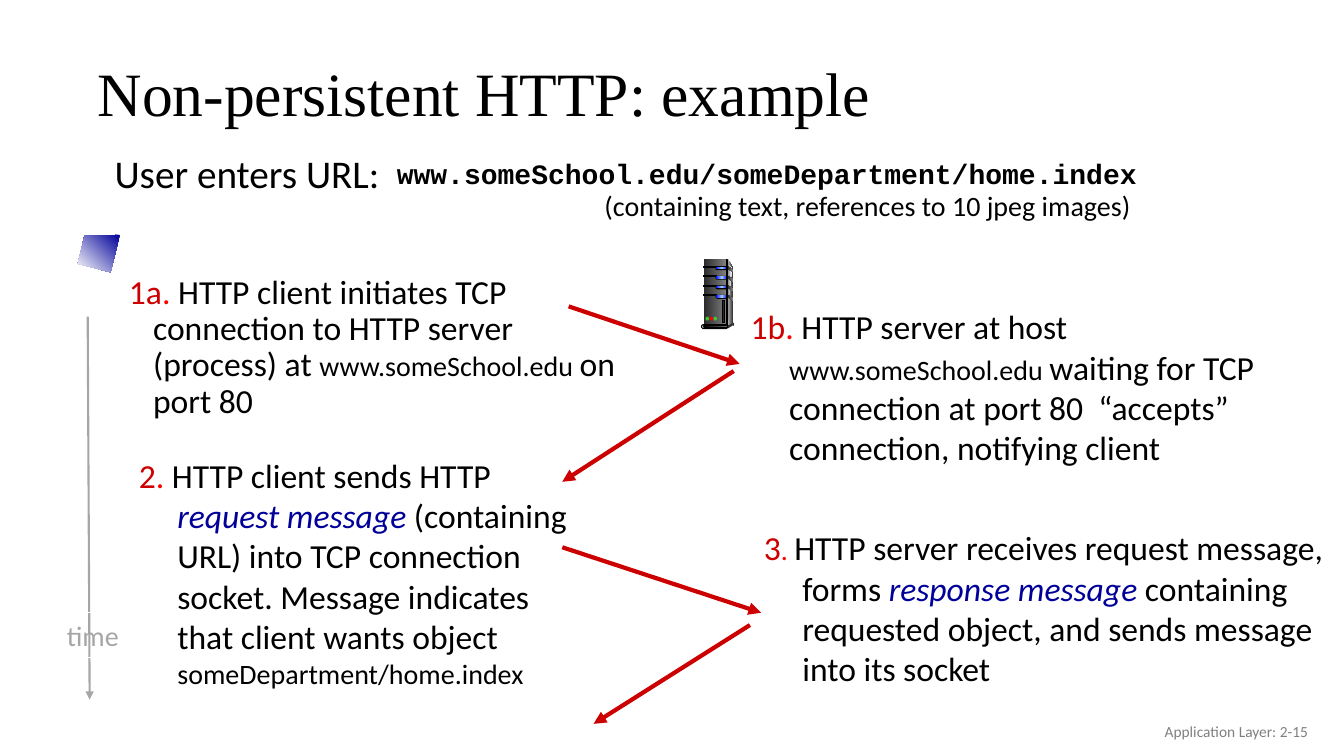
from copy import deepcopy

from lxml import etree
from pptx import Presentation
from pptx import util as u
from pptx.dml import color
from pptx.enum import shapes, text
from pptx.oxml import ns

COLORS = {
    "ink": "000000", "white": "FFFFFF", "number": "CC0000", "dot": "FF0000",
    "message": "000099", "time": "A6A6A6", "footer": "808080",
    "dark": "292929", "edge": "333333", "steel": "808080", "shine": "F8F8F8",
    "silver": "DDDDDD", "led": "0000FF", "glow": "99CCFF", "go": "33CC33",
}
KINDS = shapes.MSO_SHAPE
ALIGN = text.PP_ALIGN


def rgb(name):
    return color.RGBColor.from_string(COLORS[name])


def cm(values):
    return [u.Cm(value) for value in values]


def write(frame, runs, size, ink="ink", font="Calibri", align=None,
          indent=None, spacing=None, bold=None):
    paragraph = frame.paragraphs[0]
    if indent:
        margin, hanging = indent
        properties = paragraph._p.get_or_add_pPr()
        properties.set("marL", str(u.Cm(margin)))
        properties.set("indent", str(u.Cm(hanging)))
    if spacing:
        paragraph.line_spacing = spacing
    paragraph.alignment = align
    paragraph.font.name = font
    paragraph.font.size = u.Pt(size)
    paragraph.font.bold = bold
    paragraph.font.color.rgb = rgb(ink)
    for words, changes in runs:
        run = paragraph.add_run()
        run.text = words
        if "size" in changes:
            run.font.size = u.Pt(changes["size"])
        if "ink" in changes:
            run.font.color.rgb = rgb(changes["ink"])
        if "italic" in changes:
            run.font.italic = changes["italic"]


def add_text(slide, place, runs, size, middle=False, **style):
    frame = slide.shapes.add_textbox(*cm(place)).text_frame
    frame.word_wrap = True
    if middle:
        frame.vertical_anchor = text.MSO_ANCHOR.MIDDLE
    write(frame, runs, size, **style)


def add_step(slide, place, number, runs, dot=". ", dot_style=None,
             indent=(0.97, -0.97), spacing=None):
    heading = [(number, {"ink": "number"}),
               (dot, {"ink": "dot", **(dot_style or {})})]
    add_text(slide, place, heading + runs, 24, indent=indent, spacing=spacing)


def add_arrow(slide, start, end, ink="number", width=3):
    arrow = slide.shapes.add_connector(
        shapes.MSO_CONNECTOR.STRAIGHT, *cm(start + end))
    arrow.line.color.rgb = rgb(ink)
    arrow.line.width = u.Pt(width)
    properties = arrow._element.spPr
    etree.SubElement(properties.find(ns.qn("a:ln")), ns.qn("a:tailEnd"),
                     type="triangle")
    etree.SubElement(properties, ns.qn("a:effectLst"))


def paint(shape, fills, outline=None, angle=0):
    shape.shadow.inherit = False
    if len(fills) == 1:
        shape.fill.solid()
        shape.fill.fore_color.rgb = rgb(fills[0])
    elif fills:
        shape.fill.gradient()
        shape.fill.gradient_angle = angle
        stops = shape._element.spPr.find(".//" + ns.qn("a:gsLst"))
        for _ in fills[2:]:
            stops.append(deepcopy(stops[-1]))
        for index, stop in enumerate(shape.fill.gradient_stops):
            stop.position = index / (len(fills) - 1)
            stop.color.rgb = rgb(fills[index])
    else:
        shape.fill.background()
    if outline:
        shape.line.color.rgb = rgb(outline)
        shape.line.width = u.Pt(0.75)
    else:
        shape.line.fill.background()


def add_part(parent, kind, place, fills, outline=None):
    part = parent.shapes.add_shape(kind, *cm(place))
    if kind == KINDS.ROUNDED_RECTANGLE:
        part.adjustments[0] = 0.5
    paint(part, fills, outline)
    return part


def add_outline(parent, points, fills, angle=0):
    start, *rest = [cm(point) for point in points]
    builder = parent.shapes.build_freeform(*start)
    builder.add_line_segments(rest)
    paint(builder.convert_to_shape(), fills, angle=angle)


def add_server(slide):
    server = slide.shapes.add_group_shape()
    rect, pill, oval = KINDS.RECTANGLE, KINDS.ROUNDED_RECTANGLE, KINDS.OVAL
    add_outline(server, [(18.34, 6.53), (18.47, 6.73), (18.47, 8.15),
                         (18.31, 8.23)], ["silver", "edge"])
    add_part(server, rect, (17.73, 6.53, 0.58, 1.7), ["dark", "steel"])
    add_outline(server, [(18.34, 6.63), (18.44, 6.76), (18.37, 7.6),
                         (18.34, 8.18)], ["steel", "shine"])
    bays = [6.71 + 0.24 * bay for bay in range(4)]
    for top in bays:
        add_part(server, rect, (17.73, top, 0.33, 0.03), ["ink"], "ink")
        add_part(server, pill, (18.03, top, 0.33, 0.1), ["ink"])
        add_part(server, pill, (18.04, top + 0.01, 0.3, 0.07),
                 ["led", "glow", "led"])
    add_part(server, rect, (18.31, 6.53, 0.03, 1.7),
             ["edge", "silver", "edge"], "ink")
    for top in bays:
        add_outline(server, [(18.34, top), (18.47, top + 0.08),
                             (18.47, top + 0.15), (18.34, top + 0.06)],
                    ["dark", "steel"])
    add_part(server, oval, (18.47, 8.13, 0.03, 0.08), ["edge"])
    add_outline(server, [(18.34, 8.2), (18.34, 8.28), (18.47, 8.2),
                         (18.47, 8.15)], ["edge"])
    add_part(server, pill, (17.68, 8.18, 0.66, 0.1), ["silver"], "ink")
    add_part(server, pill, (17.73, 8.2, 0.61, 0.05), ["ink", "steel"], "ink")
    for light, ink in enumerate(["go", "dot", "go"]):
        add_part(server, oval, (17.78 + 0.1 * light, 7.98, 0.09, 0.1), [ink])
    add_part(server, rect, (18.21, 7.57, 0.05, 0.56), ["dark"], "ink")


def main():
    deck = Presentation()
    deck.slide_width, deck.slide_height = cm((33.87, 19.05))
    slide = deck.slides.add_slide(deck.slide_layouts[6])

    add_text(slide, (2.21, 1.19, 29.21, 2.49),
             [("Non-persistent HTTP: example", {})], 44, middle=True,
             font="Times New Roman", spacing=0.9)
    add_arrow(slide, (2.21, 7.98), (2.26, 17.63), "time", 1.5)
    add_text(slide, (2.26, 3.76, 22.07, 1.3), [("User enters URL:", {})], 28,
             indent=(0.99, -0.61), spacing=0.9)

    add_step(slide, (2.62, 6.81, 13.46, 5.28), "1a", [
        ("HTTP client initiates TCP connection to HTTP server (process) at ", {}),
        ("www.someSchool.edu ", {"size": 20}),
        ("on port 80", {}),
    ], indent=(0.99, -0.61), spacing=0.9)
    add_step(slide, (3.25, 11.33, 11.71, 3), "2", [
        ("HTTP client sends HTTP ", {}),
        ("request message", {"ink": "message", "italic": True}),
        (" (containing URL) into TCP connection socket. "
         "Message indicates that client wants object ", {}),
        ("someDepartment/home.index", {"size": 20}),
    ])
    add_step(slide, (18.67, 7.59, 14.96, 4.19), "1b", [
        ("HTTP server at host ", {}),
        ("www.someSchool.edu ", {"size": 20}),
        ("waiting for TCP connection at port 80  “accepts” connection, "
         "notifying client", {}),
    ])
    add_step(slide, (19, 13.16, 14.99, 5), "3", [
        ("HTTP server receives request message, forms ", {}),
        ("response message", {"ink": "message", "italic": True}),
        (" containing requested object, and sends message into its socket", {}),
    ], dot_style={"size": 20})

    for start, end in [((14.33, 7.72), (18.64, 9.17)),
                       ((18.49, 9.35), (14.17, 12.14)),
                       ((14.17, 13.79), (19.18, 15.44)),
                       ((18.9, 15.75), (14.96, 18.24))]:
        add_arrow(slide, start, end)

    time = add_part(slide, KINDS.RECTANGLE, (1.4, 15.44, 1.88, 1.12), [], "white")
    time.text_frame.word_wrap = False
    write(time.text_frame, [("time", {})], 20, "time", align=ALIGN.CENTER)

    add_text(slide, (13, 4.62, 17.73, 1.12),
             [("(containing text, references to 10 jpeg images)", {})], 20,
             align=ALIGN.CENTER)
    add_text(slide, (9.75, 3.94, 22.07, 1.3),
             [("www.someSchool.edu/someDepartment/home.index", {})], 20,
             font="Courier New", bold=True, indent=(0.97, -0.97), spacing=0.85)

    add_outline(slide, [(3.02, 5.92), (2.13, 5.94), (1.96, 6.65),
                        (2.79, 6.86)], ["message", "white"], angle=225)
    add_server(slide)
    add_text(slide, (25.6, 17.91, 7.62, 1.02),
             [("Application Layer: 2-15", {})], 11, middle=True,
             ink="footer", align=ALIGN.RIGHT)
    deck.save("out.pptx")


if __name__ == "__main__":
    main()
